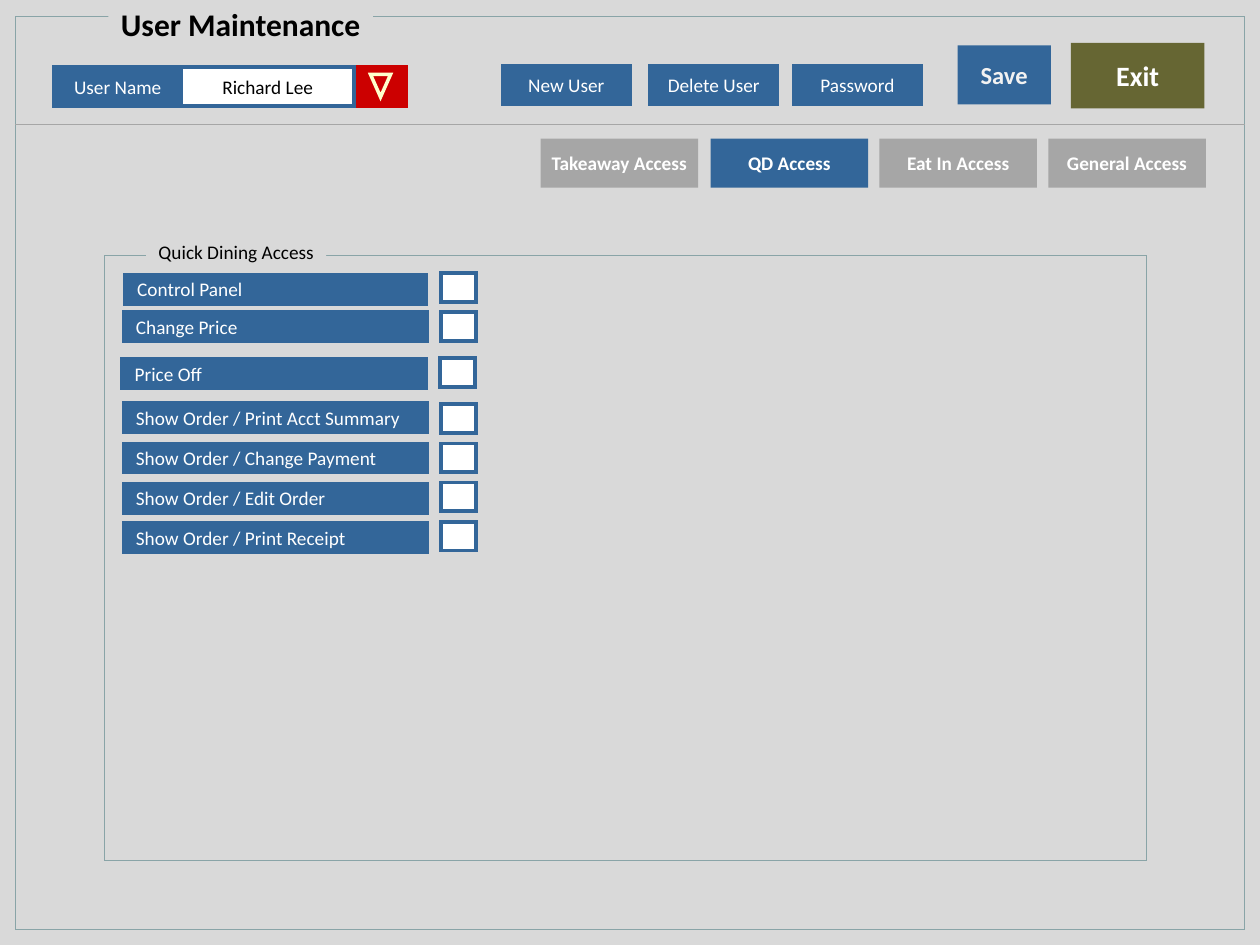
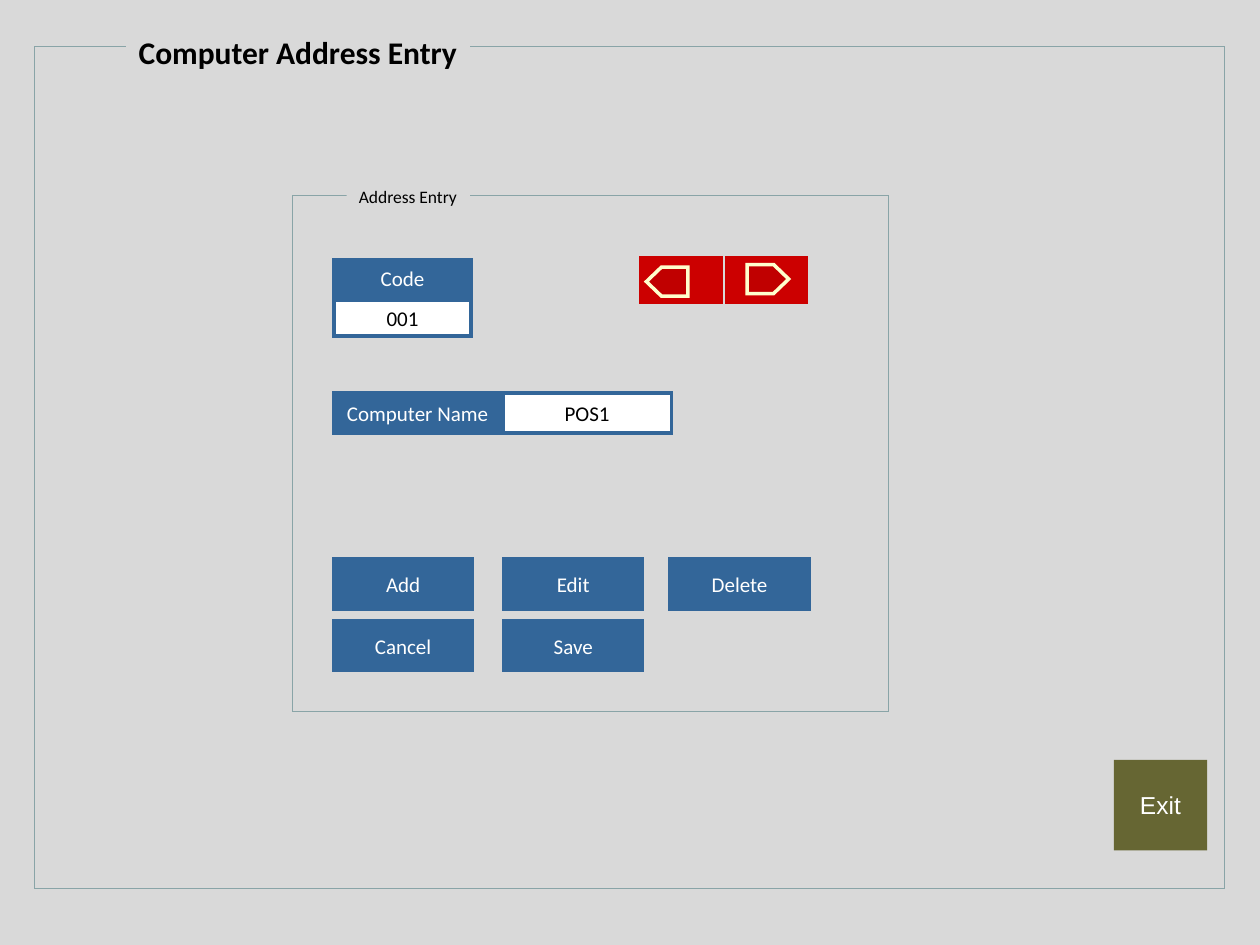
from pptx import Presentation
from pptx.dml.color import RGBColor
from pptx.enum.shapes import MSO_CONNECTOR, MSO_SHAPE
from pptx.enum.text import MSO_ANCHOR, MSO_AUTO_SIZE, PP_ALIGN
from pptx.oxml.ns import qn
from pptx.util import Inches, Pt
from lxml import etree

PANEL = RGBColor(0xD9, 0xD9, 0xD9)
BLUE = RGBColor(0x33, 0x66, 0x99)
OLIVE = RGBColor(0x66, 0x66, 0x33)
RED = RGBColor(0xCC, 0x00, 0x00)
DARK_RED = RGBColor(0xC0, 0x00, 0x00)
CREAM = RGBColor(0xFF, 0xFF, 0xCC)
GREY = RGBColor(0xA6, 0xA6, 0xA6)
FRAME = RGBColor(0x89, 0xA4, 0xA7)
PALE = RGBColor(0xF2, 0xF2, 0xF2)
WHITE = RGBColor(0xFF, 0xFF, 0xFF)
BLACK = RGBColor(0x00, 0x00, 0x00)
LEFT, CENTER = PP_ALIGN.LEFT, PP_ALIGN.CENTER
TOP, MIDDLE = MSO_ANCHOR.TOP, MSO_ANCHOR.MIDDLE


def style(sp, at, fill=None, line=None, weight=2.25, text="", size=11,
          color=WHITE, bold=False, align=CENTER, anchor=MIDDLE, font="Calibri"):
    sp.left, sp.top, sp.width, sp.height = [Inches(v) for v in at]
    if fill is None:
        sp.fill.background()
    else:
        sp.fill.solid()
        sp.fill.fore_color.rgb = fill
    if line is None:
        sp.line.fill.background()
    else:
        sp.line.color.rgb = line
        sp.line.width = Pt(weight)
        ln = sp._element.spPr.find(qn("a:ln"))
        etree.SubElement(ln, qn("a:miter"), lim="800000")
    if text:
        tf = sp.text_frame
        tf.text = text
        tf.word_wrap = False
        tf.auto_size = MSO_AUTO_SIZE.NONE
        tf.vertical_anchor = anchor
        p = tf.paragraphs[0]
        p.alignment = align
        r = p.runs[0]
        r.font.name = font
        r.font.size = Pt(size)
        r.font.bold = bold
        r.font.color.rgb = color


def box(s, at, fill=None, line=None, shape=MSO_SHAPE.RECTANGLE, **look):
    sp = s.shapes.add_shape(shape, *[Inches(v) for v in at])
    sp.shadow.inherit = False
    style(sp, at, fill, line, **look)
    return sp


prs = Presentation()
prs.slide_width, prs.slide_height = Inches(10), Inches(7.5)

screens = [
    ("User Maintenance", (0.86, -0.01, 2.1, 0.4), (0.12, 0.13, 9.76, 7.25),
     "Quick Dining Access", 11, (1.16, 1.86, 1.43, 0.29), (0.83, 2.03, 8.27, 4.8)),
    ("Computer Address Entry", (1, 0.21, 2.73, 0.4), (0.27, 0.37, 9.45, 6.68),
     "Address Entry", 10, (2.75, 1.43, 0.98, 0.27), (2.32, 1.55, 4.73, 4.1)),
]
slides = []
for title, title_at, frame_at, group, group_size, group_at, group_frame_at in screens:
    s = prs.slides.add_slide(prs.slide_layouts[5])
    s.background.fill.solid()
    s.background.fill.fore_color.rgb = PANEL
    box(s, frame_at, line=FRAME, weight=0.5)
    style(s.shapes.title, title_at, PANEL, text=title, size=18, color=BLACK,
          bold=True, align=LEFT, anchor=TOP)
    s.shapes.title.text_frame.margin_right = 0
    s.shapes._spTree.append(s.shapes.title._element)
    box(s, group_frame_at, line=FRAME, weight=0.5)
    box(s, group_at, PANEL, text=group, size=group_size, color=BLACK,
        align=LEFT, anchor=TOP)
    slides.append(s)
users, addresses = slides

rule = users.shapes.add_connector(
    MSO_CONNECTOR.STRAIGHT, Inches(0.12), Inches(0.99), Inches(9.88), Inches(0.99))
rule.line.color.rgb = GREY
rule.line.width = Pt(0.75)
etree.SubElement(rule._element.spPr, qn("a:effectLst"))

box(users, (8.5, 0.34, 1.06, 0.52), OLIVE, text="Exit", size=16, bold=True)
box(users, (7.6, 0.36, 0.74, 0.47), BLUE, text="Save", size=14, color=PALE, bold=True)
box(users, (1.44, 0.53, 1.37, 0.31), WHITE, BLUE, text="Richard Lee", color=BLACK)
box(users, (0.43, 0.53, 1.01, 0.31), BLUE, BLUE, text="User Name")
box(users, (2.84, 0.53, 0.38, 0.31), RED, RED)
arrow = box(users, (2.94, 0.59, 0.16, 0.18), RED, CREAM,
            MSO_SHAPE.ISOSCELES_TRIANGLE, weight=2)
arrow.rotation = 180

for x, name in [(3.99, "New User"), (5.16, "Delete User"), (6.3, "Password")]:
    box(users, (x, 0.52, 1.01, 0.31), BLUE, BLUE, text=name)

tabs = [(4.29, "Takeaway Access"), (5.64, "QD Access"),
        (6.98, "Eat In Access"), (8.32, "General Access")]
for x, name in tabs:
    fill = BLUE if name == "QD Access" else GREY
    box(users, (x, 1.1, 1.25, 0.39), fill, text=name, bold=True)

rights = [
    ("Control Panel", 0.99, 2.18, 2.39, 3.5, 2.17),
    ("Change Price", 0.98, 2.48, 2.41, 3.5, 2.48),
    ("Price Off", 0.97, 2.85, 2.41, 3.49, 2.84),
    ("Show Order / Print Acct Summary", 0.98, 3.2, 2.41, 3.5, 3.21),
    ("Show Order / Change Payment", 0.98, 3.52, 2.41, 3.5, 3.52),
    ("Show Order / Edit Order", 0.98, 3.84, 2.41, 3.5, 3.83),
    ("Show Order / Print Receipt", 0.98, 4.15, 2.41, 3.5, 4.14),
]
for name, x, y, width, check_x, check_y in rights:
    box(users, (x, y, width, 0.23), BLUE, BLUE, text=name, align=LEFT)
    box(users, (check_x, check_y, 0.28, 0.23), WHITE, BLUE)

box(addresses, (8.84, 6.03, 0.74, 0.72), OLIVE, text="Exit", size=14, font="Arial")

fields = [
    ("Code", (2.65, 2.06, 1.09, 0.29), "001", (2.65, 2.38, 1.09, 0.29)),
    ("Computer Name", (2.65, 3.12, 1.33, 0.32), "POS1", (3.99, 3.12, 1.34, 0.32)),
]
for name, name_at, value, value_at in fields:
    box(addresses, value_at, WHITE, BLUE, text=value, size=12, color=BLACK)
    box(addresses, name_at, BLUE, BLUE, text=name, size=12)

for x, arrow_x, arrow_y, turn in [(5.09, 5.13, 2.12, 180), (5.77, 5.93, 2.1, 0)]:
    box(addresses, (x, 2.05, 0.63, 0.35), RED, RED)
    arrow = box(addresses, (arrow_x, arrow_y, 0.33, 0.23), DARK_RED, CREAM,
                MSO_SHAPE.PENTAGON, weight=2)
    arrow.adjustments[0] = 0.52
    arrow.rotation = turn

button_rows = [(4.44, ["Add", "Edit", "Delete"]), (4.93, ["Cancel", "Save"])]
for y, names in button_rows:
    for x, name in zip([2.65, 4, 5.32], names):
        box(addresses, (x, y, 1.1, 0.39), BLUE, BLUE, text=name, size=12)

prs.save("out.pptx")
